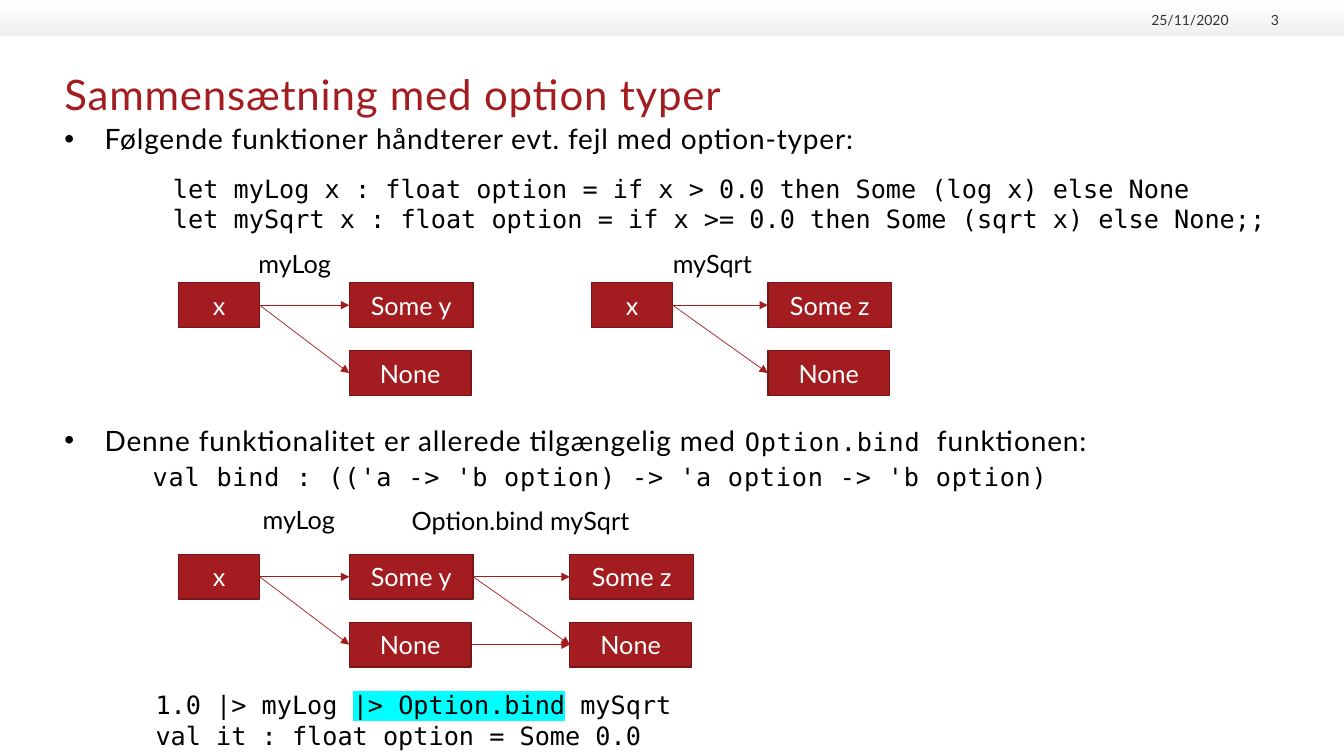
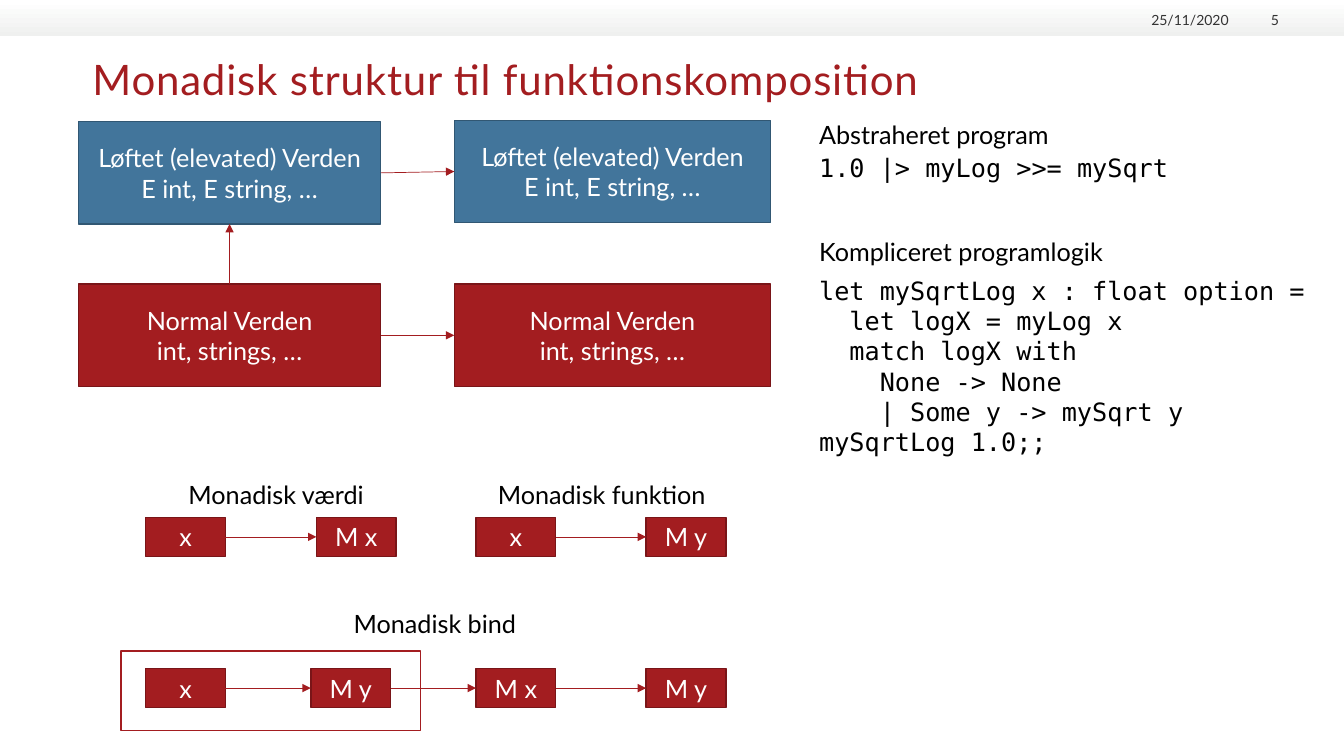
import pptx
import pptx.util
import pptx.dml.color
import pptx.enum.shapes
import pptx.enum.text
import pptx.oxml.ns
from lxml import etree

Pt = pptx.util.Pt
RGBColor = pptx.dml.color.RGBColor
ALIGN = pptx.enum.text.PP_ALIGN
ANCHOR = pptx.enum.text.MSO_ANCHOR
qn = pptx.oxml.ns.qn

RED = RGBColor(0xA3, 0x1D, 0x20)
DARK_RED = RGBColor(0x79, 0x15, 0x18)
BLUE = RGBColor(0x42, 0x75, 0x9B)
DARK_BLUE = RGBColor(0x31, 0x57, 0x73)
BLACK = RGBColor(0x00, 0x00, 0x00)
GREY = RGBColor(0x33, 0x33, 0x33)
BAND_GREY = RGBColor(0xEF, 0xF0, 0xEF)
CYAN = RGBColor(0x00, 0xFF, 0xFF)
WHITE = RGBColor(0xFF, 0xFF, 0xFF)
LATO = "Lato"
MONO = "DejaVu Sans Mono"
TOP, LEFT, BOTTOM, RIGHT = range(4)
NODE_W, NODE_H = 58, 32
MONAD_W, MONAD_H = 57, 28
WORLD_H = 73


def add_run(p, text, size=18, font=LATO, color=BLACK, spacing=None, highlight=None):
    """Add a formatted run to a paragraph."""
    r = p.add_run()
    r.text = text
    r.font.size = Pt(size)
    r.font.color.rgb = color
    r.font.name = font
    rpr = r._r.get_or_add_rPr()
    if spacing:
        rpr.set("spc", str(round(spacing * 100)))
    if highlight:
        mark = etree.Element(qn("a:highlight"))
        etree.SubElement(mark, qn("a:srgbClr")).set("val", str(highlight))
        rpr.find(qn("a:solidFill")).addnext(mark)


def fill_frame(tf, lines, align=ALIGN.LEFT, leading=None, **fmt):
    """Write one paragraph per line; a line is text or a list of (text, format)."""
    for i, line in enumerate(lines):
        p = tf.add_paragraph() if i else tf.paragraphs[0]
        p.alignment = align
        if leading:
            p.line_spacing = Pt(leading)
        for text, extra in [(line, {})] if isinstance(line, str) else line:
            add_run(p, text, **{**fmt, **extra})


def clear_margins(tf):
    """Remove the inner margins of a text frame."""
    tf.margin_left = tf.margin_right = tf.margin_top = tf.margin_bottom = 0


def add_text(s, x, y, w, h, *lines, **fmt):
    """Add a wrapped text box."""
    tf = s.shapes.add_textbox(Pt(x), Pt(y), Pt(w), Pt(h)).text_frame
    tf.word_wrap = True
    fill_frame(tf, lines, **fmt)
    return tf


def add_code(s, x, y, w, h, *lines):
    """Add a box of program code."""
    return add_text(s, x, y, w, h, *lines, font=MONO, leading=21.6)


def add_box(s, x, y, w, h, *lines, fill=RED, line=DARK_RED):
    """Add a filled rectangle with centred white text."""
    sp = s.shapes.add_shape(pptx.enum.shapes.MSO_SHAPE.RECTANGLE, Pt(x), Pt(y), Pt(w), Pt(h))
    sp.shadow.inherit = False
    sp.fill.solid()
    sp.fill.fore_color.rgb = fill
    sp.line.color.rgb = line
    sp.line.width = Pt(1)
    sp.text_frame.vertical_anchor = ANCHOR.MIDDLE
    fill_frame(sp.text_frame, lines, align=ALIGN.CENTER, color=WHITE)
    return sp


def add_arrow(s, start, end, start_site=RIGHT, end_site=LEFT):
    """Join two boxes with an arrow."""
    c = s.shapes.add_connector(pptx.enum.shapes.MSO_CONNECTOR.STRAIGHT, 0, 0, 0, 0)
    c.begin_connect(start, start_site)
    c.end_connect(end, end_site)
    c.line.color.rgb = RED
    c.line.width = Pt(0.5)
    etree.SubElement(c.line._get_or_add_ln(), qn("a:tailEnd")).set("type", "triangle")
    etree.SubElement(c._element.spPr, qn("a:effectLst"))


def add_band(prs, layout, s):
    """Draw the grey top band and hand it to the layout."""
    sp = s.shapes.add_shape(pptx.enum.shapes.MSO_SHAPE.RECTANGLE, 0, 0, prs.slide_width, Pt(26))
    sp.shadow.inherit = False
    sp.line.fill.background()
    sp.fill.gradient()
    sp.fill.gradient_angle = 270
    for stop, color in zip(sp.fill.gradient_stops, (WHITE, BAND_GREY)):
        stop.color.rgb = color
    sp.element.nvSpPr.cNvPr.set("id", "99")
    layout.shapes.element.append(sp.element)


def add_slide(prs, title, number, x, y, w, h):
    """Add a slide with its title, date and number."""
    layout = prs.slide_layouts[5]
    s = prs.slides.add_slide(layout)
    if len(prs.slides) == 1:
        add_band(prs, layout, s)
    sp = s.shapes.title
    sp.left, sp.top, sp.width, sp.height = Pt(x), Pt(y), Pt(w), Pt(h)
    tf = sp.text_frame
    clear_margins(tf)
    tf.vertical_anchor = ANCHOR.TOP
    tf.auto_size = pptx.enum.text.MSO_AUTO_SIZE.NONE
    fill_frame(tf, [title], size=30, color=RED, spacing=0.6)
    for left, width, text in ((813.6, 64, "25/11/2020"), (883.5, 30, number)):
        tf = add_text(s, left, 6.5, width, 13.5, text, size=10, color=GREY, align=ALIGN.RIGHT)
        clear_margins(tf)
        tf.vertical_anchor = ANCHOR.BOTTOM
    return s


def add_bullet(s, x, y, w, h, *lines):
    """Add a bulleted paragraph, with any further line indented as code."""
    tf = add_text(s, x, y, w, h, *lines, size=20, spacing=0.6)
    clear_margins(tf)
    for i, p in enumerate(tf.paragraphs):
        ppr = p._p.get_or_add_pPr()
        if i:
            ppr.set("marL", str(Pt(63)))
            p.space_before = Pt(3)
        else:
            ppr.set("marL", str(Pt(28.8)))
            ppr.set("indent", str(-Pt(28.8)))
            etree.SubElement(ppr, qn("a:buFont")).set("typeface", "Arial")
            etree.SubElement(ppr, qn("a:buChar")).set("char", "•")


def add_outcomes(s, x, y, value):
    """Stack the two results of an option function."""
    return (add_box(s, x, y, 88.5, NODE_H, value),
            add_box(s, x, y + 48.5, 87, NODE_H, "None"))


def add_fork(s, x, y, gap, value, label, dx, dy):
    """Draw an input that leads to two outcomes, with its function name."""
    source = add_box(s, x, y, NODE_W, NODE_H, "x")
    outcomes = add_outcomes(s, x + NODE_W + gap, y, value)
    for outcome in outcomes:
        add_arrow(s, source, outcome)
    add_text(s, x + dx, y + dy, 76, 29, label)
    return outcomes


def add_bound_fork(s, x, y):
    """Draw the two functions joined by bind."""
    some_y, none_y = add_fork(s, x, y, 64, "Some y", "myLog", 53, -39)
    some_z, none_z = add_outcomes(s, x + 279.5, y, "Some z")
    for start, end in ((some_y, some_z), (none_y, none_z), (some_y, none_z)):
        add_arrow(s, start, end)
    add_text(s, x + 159.5, y - 38.5, 190, 29, "Option.bind mySqrt")


def add_worlds(s, x, y, w, normal_y):
    """Draw a lifted world above a normal one."""
    lifted = add_box(s, x, y, w, WORLD_H, "Løftet (elevated) Verden", "E int, E string, …",
                     fill=BLUE, line=DARK_BLUE)
    normal = add_box(s, x, normal_y, w, WORLD_H, "Normal Verden", "int, strings, …")
    return lifted, normal


def add_chain(s, x, y, label, label_dx, label_dy, steps):
    """Draw a labelled row of boxes, each leading to the next."""
    boxes = [add_box(s, x + dx, y, MONAD_W, MONAD_H, text) for dx, text in steps]
    for start, end in zip(boxes, boxes[1:]):
        add_arrow(s, start, end)
    add_text(s, x + label_dx, y + label_dy, 168, 29, label)


def build_option_slide(prs):
    """Build the slide on composing option functions."""
    s = add_slide(prs, "Sammensætning med option typer", "3", 46, 49, 867, 38)
    code = {"size": 18, "font": MONO}
    add_bullet(s, 46, 87, 867, 39, "Følgende funktioner håndterer evt. fejl med option-typer:")
    add_code(s, 116.5, 120, 814, 51,
             "let myLog x : float option = if x > 0.0 then Some (log x) else None",
             "let mySqrt x : float option = if x >= 0.0 then Some (sqrt x) else None;;")
    add_fork(s, 127.5, 202, 64, "Some y", "myLog", 50, -28.5)
    add_fork(s, 422.5, 202, 68, "Some z", "mySqrt", 51, -28.5)
    add_bullet(s, 46, 302.5, 867, 51,
               [("Denne funktionalitet er allerede tilgængelig med ", {}),
                ("Option.bind ", code), ("funktionen:", {})],
               [("val bind : (('a -> 'b option) -> 'a option -> 'b option)", code)])
    add_bound_fork(s, 127.5, 396)
    add_code(s, 104, 489, 400, 51,
             [("1.0 |> myLog ", {}), ("|> Option.bind", {"highlight": CYAN}), (" mySqrt", {})],
             "val it : float option = Some 0.0")


def build_monad_slide(prs):
    """Build the slide on monadic structure."""
    s = add_slide(prs, "Monadisk struktur til funktionskomposition", "5", 66, 38, 828, 45)
    lifted, normal = add_worlds(s, 56, 87, 216, 203)
    next_lifted, next_normal = add_worlds(s, 324.5, 86, 226, 203)
    add_arrow(s, normal, lifted, TOP, BOTTOM)
    add_arrow(s, lifted, next_lifted)
    add_arrow(s, normal, next_normal)
    add_chain(s, 104, 369.5, "Monadisk værdi", 23.5, -31, [(0, "x"), (122, "M x")])
    add_chain(s, 340, 369.5, "Monadisk funktion", 8.5, -31, [(0, "x"), (121.5, "M y")])
    add_box(s, 86.5, 465, 214, 57, fill=WHITE, line=RED)
    add_chain(s, 104, 477.5, "Monadisk bind", 141.5, -46.5,
              [(0, "x"), (118, "M y"), (236, "M x"), (357.5, "M y")])
    add_text(s, 578, 82, 286, 29, "Abstraheret program")
    add_code(s, 578, 105, 286, 29, "1.0 |> myLog >>= mySqrt")
    add_text(s, 578, 165.5, 286, 29, "Kompliceret programlogik")
    add_code(s, 578, 193, 376, 138,
             "let mySqrtLog x : float option =",
             "  let logX = myLog x",
             "  match logX with",
             "    None -> None",
             "    | Some y -> mySqrt y",
             "mySqrtLog 1.0;;")


def main():
    """Build and save the presentation."""
    prs = pptx.Presentation()
    prs.slide_width, prs.slide_height = Pt(960), Pt(540)
    build_option_slide(prs)
    build_monad_slide(prs)
    prs.save("out.pptx")


if __name__ == "__main__":
    main()
